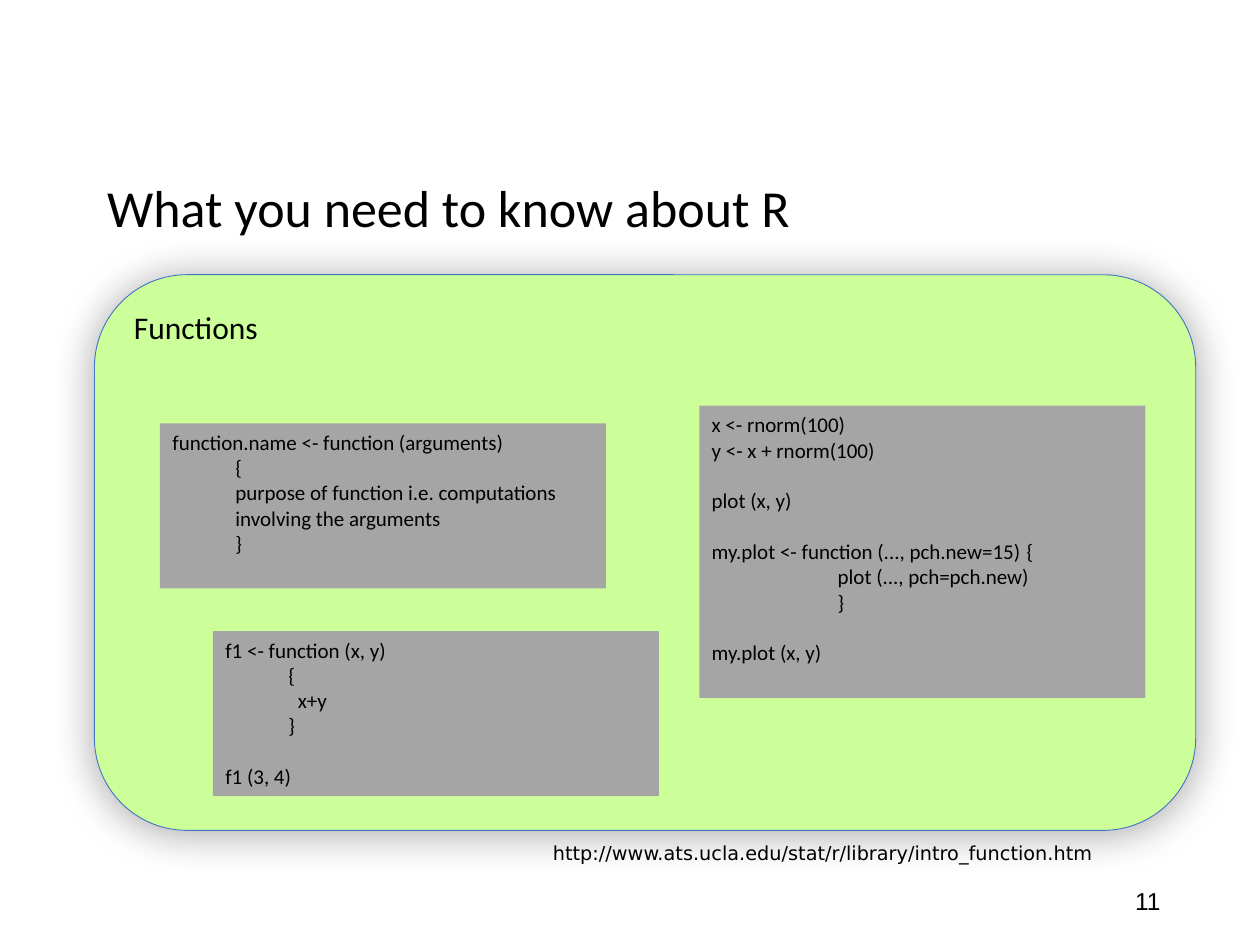
from lxml import etree
from pptx import Presentation
from pptx import util as u
from pptx.dml.color import RGBColor
from pptx.enum import shapes, text
from pptx.oxml import ns

deck = Presentation()
deck.slide_width, deck.slide_height = u.Inches(10), u.Inches(7.5)
page = deck.slides.add_slide(deck.slide_layouts[5])


def area(left, top, width, height):
    """Turn percentages of the slide's size into lengths."""
    across, down = deck.slide_width / 100, deck.slide_height / 100
    return [int(left * across), int(top * down), int(width * across), int(height * down)]


def write(box, lines, size, font="Calibri", align="LEFT", anchor="TOP"):
    """Fill a box with lines of (words, indent in inches, blank lines before)."""
    frame = box.text_frame
    frame.word_wrap = True
    frame.auto_size = text.MSO_AUTO_SIZE.NONE
    frame.vertical_anchor = text.MSO_ANCHOR[anchor]
    for number, (words, indent, gap) in enumerate(lines):
        para = frame.paragraphs[0] if number == 0 else frame.add_paragraph()
        para.alignment = text.PP_ALIGN[align]
        properties = para._p.get_or_add_pPr()
        properties.set("marL", str(u.Inches(indent)))
        properties.set("indent", "0")
        if gap:
            para.space_before = u.Pt(gap * size * 1.22)
        if "\t" in words:
            tabs = etree.SubElement(properties, ns.qn("a:tabLst"))
            etree.SubElement(tabs, ns.qn("a:tab"), pos=str(u.Inches(3)), algn="l")
        span = para.add_run()
        span.text = words
        span.font.name, span.font.size = font, u.Pt(size)
        span.font.color.rgb = RGBColor.from_string("000000")


# Title
title = page.shapes.title
title.left, title.top, title.width, title.height = area(7.5, 18.4, 89, 7.73)
write(title, [("What you need to know about R", 0, 0)], 29.7, anchor="MIDDLE")
title.text_frame.paragraphs[0].line_spacing = 0.9

# Page number
number_box = page.shapes.add_textbox(*area(70.6, 92.67, 22.5, 5.33))
write(number_box, [("11", 0, 0)], 14, "Arial", "RIGHT", "MIDDLE")

# Rounded panel with a soft shadow
panel = page.shapes.add_shape(shapes.MSO_SHAPE.ROUNDED_RECTANGLE, *area(7.5, 29.07, 87.4, 58.8))
panel.fill.solid()
panel.fill.fore_color.rgb = RGBColor.from_string("CCFF99")
panel.line.color.rgb = RGBColor.from_string("4472C4")
panel.line.width = u.Pt(0.5)
panel.shadow.inherit = False
effects = panel._element.spPr.find(ns.qn("a:effectLst"))
shadow = etree.SubElement(effects, ns.qn("a:outerShdw"), blurRad=str(u.Pt(24)),
                          dist=str(u.Pt(1.8)), dir="5400000", rotWithShape="0")
shade = etree.SubElement(shadow, ns.qn("a:srgbClr"), val="000000")
etree.SubElement(shade, ns.qn("a:alpha"), val="35000")
write(panel, [("Functions", 0, 0)], 18)

# Code boxes: left, top, height, lines
code_boxes = [
    (12.7, 44.8, 17.47, [
        ("function.name <- function (arguments)", 0, 0),
        ("{", 0.5, 0),
        ("purpose of function i.e. computations involving the arguments", 0.5, 0),
        ("}", 0.5, 0)]),
    (16.9, 66.8, 17.47, [
        ("f1 <- function (x, y)", 0, 0),
        ("{", 0.5, 0),
        ("  x+y", 0.5, 0),
        ("}", 0.5, 0),
        ("f1 (3, 4)", 0, 1)]),
    (55.5, 42.93, 30.93, [
        ("x <- rnorm(100)", 0, 0),
        ("y <- x + rnorm(100)", 0, 0),
        ("plot (x, y)", 0, 1),
        ("my.plot <- function (..., pch.new=15) \t{", 0, 1),
        ("plot (..., pch=pch.new)", 1, 0),
        ("}", 1, 0),
        ("my.plot (x, y)", 0, 1)]),
]
for left, top, height, lines in code_boxes:
    box = page.shapes.add_shape(shapes.MSO_SHAPE.RECTANGLE, *area(left, top, 35.4, height))
    box.fill.solid()
    box.fill.fore_color.rgb = RGBColor.from_string("A5A5A5")
    box.line.fill.background()
    box.shadow.inherit = False
    write(box, lines, 12)

# Web address
address = page.shapes.add_textbox(*area(42.9, 88.4, 48.6, 3.87))
write(address, [("http://www.ats.ucla.edu/stat/r/library/intro_function.htm", 0, 0)], 11, "DejaVu Sans")

deck.save("out.pptx")
